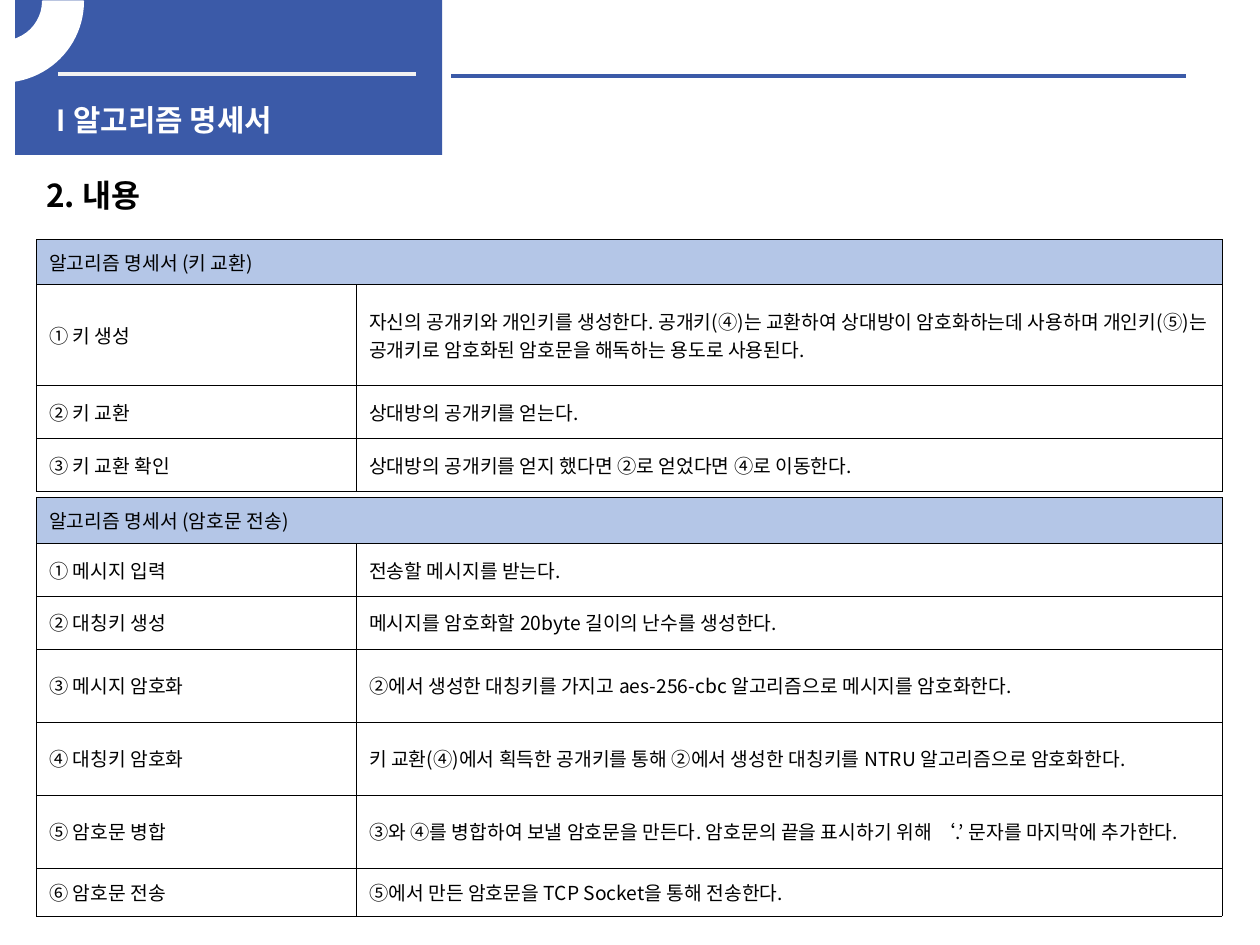
from lxml import etree
from pptx import Presentation
from pptx.dml.color import RGBColor
from pptx.enum.shapes import MSO_CONNECTOR, MSO_SHAPE
from pptx.enum.text import MSO_ANCHOR, MSO_AUTO_SIZE, PP_ALIGN
from pptx.oxml import parse_xml
from pptx.oxml.ns import nsdecls, qn
from pptx.util import Inches, Pt

BLUE = RGBColor(0x3B, 0x5A, 0xA8)
PALE_BLUE = RGBColor(0xB4, 0xC6, 0xE7)
PALE_GRAY = RGBColor(0xF2, 0xF2, 0xF2)
WHITE = RGBColor(0xFF, 0xFF, 0xFF)
BLACK = RGBColor(0, 0, 0)
KOREAN_FONT = "Noto Sans CJK KR"


def write(paragraph, text, size, color, font=KOREAN_FONT, bold=False):
    run = paragraph.add_run()
    run.text = text
    run.font.size = Pt(size)
    run.font.bold = bold
    run.font.color.rgb = color
    run.font.name = font
    latin = run.font._element.find(qn("a:latin"))
    east_asian = etree.Element(qn("a:ea"), typeface=KOREAN_FONT)
    latin.addnext(east_asian)


def add_borders(cell):
    properties = cell._tc.get_or_add_tcPr()
    for position, side in enumerate(("lnL", "lnR", "lnT", "lnB")):
        properties.insert(position, parse_xml(
            f'<a:{side} {nsdecls("a")} w="{Pt(0.33)}"><a:solidFill>'
            f'<a:srgbClr val="{BLACK}"/></a:solidFill></a:{side}>'))


prs = Presentation()
prs.slide_width = Inches(10)
prs.slide_height = Inches(7.5)
slide = prs.slides.add_slide(prs.slide_layouts[5])
shapes = slide.shapes

banner = shapes.add_shape(MSO_SHAPE.RECTANGLE, Inches(0.12), 0, Inches(3.39), Inches(1.23))
banner.shadow.inherit = False
banner.fill.solid()
banner.fill.fore_color.rgb = BLUE
banner.line.fill.background()

for left, right, y, color in ((0.46, 3.3, 0.59, PALE_GRAY), (3.58, 9.41, 0.6, BLUE)):
    rule = shapes.add_connector(
        MSO_CONNECTOR.STRAIGHT, Inches(left), Inches(y), Inches(right), Inches(y))
    rule.line.color.rgb = color
    rule.line.width = Pt(2.25)
    etree.SubElement(rule._element.spPr, qn("a:effectLst"))

title = shapes.title
shapes._spTree.append(title._element)
title.left, title.top = Inches(0.35), Inches(0.76)
title.width, title.height = Inches(3.23), Inches(0.21)
title.text_frame.auto_size = MSO_AUTO_SIZE.NONE
title.text_frame.vertical_anchor = MSO_ANCHOR.TOP
title.text_frame.paragraphs[0].alignment = PP_ALIGN.LEFT
write(title.text_frame.paragraphs[0], "l 알고리즘 명세서", 17, WHITE, "Arial", True)

ring = shapes.add_shape(
    MSO_SHAPE.BLOCK_ARC, Inches(-0.63), Inches(-0.63), Inches(1.29), Inches(1.28))
ring.shadow.inherit = False
ring.adjustments[0] = 161.587
ring.adjustments[1] = 0
ring.adjustments[2] = 0.25
ring._element.spPr.xfrm.set("flipV", "1")
ring.fill.solid()
ring.fill.fore_color.rgb = WHITE
ring.line.color.rgb = WHITE
ring.line.width = Pt(1)

heading = shapes.add_textbox(Inches(0.27), Inches(1.35), Inches(1.01), Inches(0.4))
heading.text_frame.auto_size = MSO_AUTO_SIZE.SHAPE_TO_FIT_TEXT
write(heading.text_frame.paragraphs[0], "2. 내용", 18, BLACK, bold=True)

key_exchange = [
    (0.36, "알고리즘 명세서 (키 교환)", ""),
    (0.8, "① 키 생성",
     "자신의 공개키와 개인키를 생성한다. 공개키(④)는 교환하여 상대방이 암호화하는데 사용하며 "
     "개인키(⑤)는 공개키로 암호화된 암호문을 해독하는 용도로 사용된다."),
    (0.42, "② 키 교환", "상대방의 공개키를 얻는다."),
    (0.42, "③ 키 교환 확인", "상대방의 공개키를 얻지 했다면 ②로 얻었다면 ④로 이동한다."),
]
cipher_sending = [
    (0.36, "알고리즘 명세서 (암호문 전송)", ""),
    (0.42, "① 메시지 입력", "전송할 메시지를 받는다."),
    (0.42, "② 대칭키 생성", "메시지를 암호화할 20byte 길이의 난수를 생성한다."),
    (0.58, "③ 메시지 암호화",
     "②에서 생성한 대칭키를 가지고 aes-256-cbc 알고리즘으로 메시지를 암호화한다."),
    (0.58, "④ 대칭키 암호화",
     "키 교환(④)에서 획득한 공개키를 통해 ②에서 생성한 대칭키를 NTRU 알고리즘으로 암호화한다."),
    (0.58, "⑤ 암호문 병합",
     "③와 ④를 병합하여 보낼 암호문을 만든다. 암호문의 끝을 표시하기 위해 ‘.’ 문자를 "
     "마지막에 추가한다."),
    (0.38, "⑥ 암호문 전송", "⑤에서 만든 암호문을 TCP Socket을 통해 전송한다."),
]

for top, steps in ((1.9, key_exchange), (3.95, cipher_sending)):
    total = sum(height for height, _, _ in steps)
    table = shapes.add_table(
        len(steps), 2, Inches(0.29), Inches(top), Inches(9.41), Inches(total)).table
    table.first_row = False
    table.horz_banding = False
    table.columns[0].width = Inches(2.54)
    table.columns[1].width = Inches(6.87)
    table.cell(0, 0).merge(table.cell(0, 1))
    for row, (height, step, description) in enumerate(steps):
        table.rows[row].height = Inches(height)
        for column, text in enumerate((step, description)):
            cell = table.cell(row, column)
            cell.vertical_anchor = MSO_ANCHOR.MIDDLE
            cell.fill.solid()
            cell.fill.fore_color.rgb = WHITE if row else PALE_BLUE
            add_borders(cell)
            if text:
                write(cell.text_frame.paragraphs[0], text, 11, BLACK)

prs.save("out.pptx")
